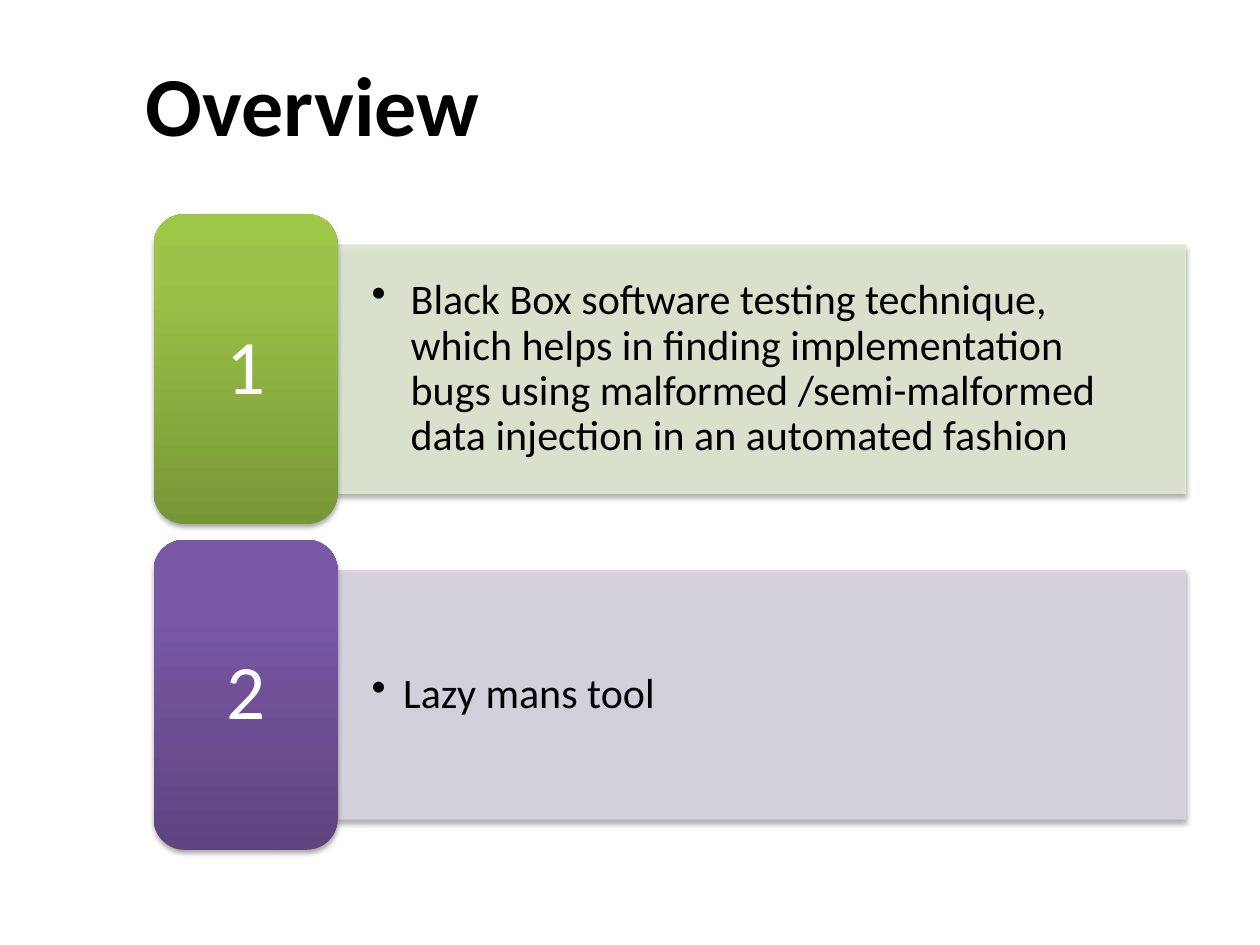
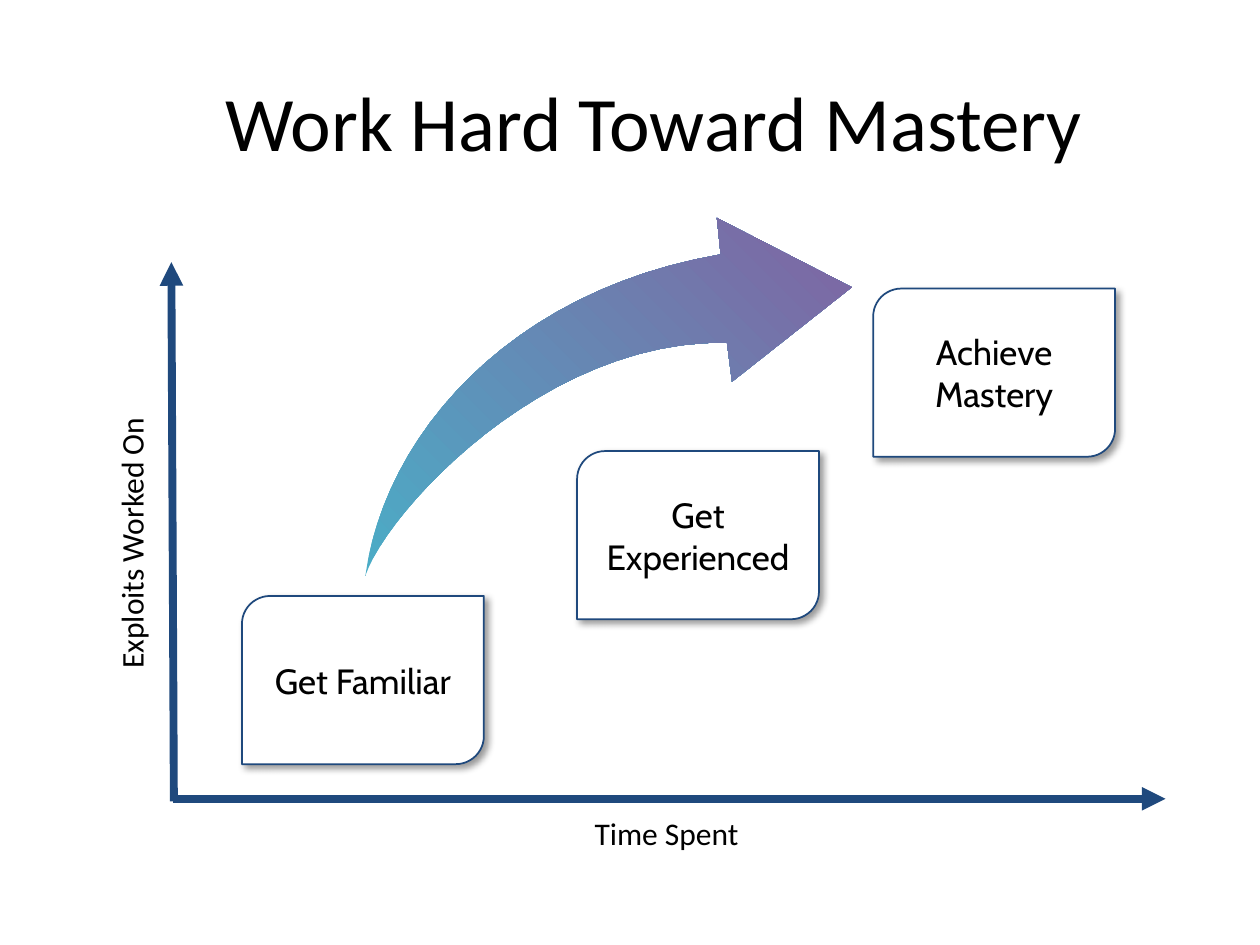
from copy import deepcopy
from lxml import etree
from pptx import Presentation
from pptx.dml.color import RGBColor
from pptx.enum.shapes import MSO_CONNECTOR, MSO_SHAPE
from pptx.enum.text import MSO_ANCHOR, PP_ALIGN
from pptx.oxml.ns import qn
from pptx.util import Inches, Pt

# Enum members
RECT = MSO_SHAPE.RECTANGLE
ROUND = MSO_SHAPE.ROUNDED_RECTANGLE
LEAF = MSO_SHAPE.ROUND_2_DIAG_RECTANGLE
STRAIGHT = MSO_CONNECTOR.STRAIGHT
TOP, MID = MSO_ANCHOR.TOP, MSO_ANCHOR.MIDDLE
LEFT, MID_X = PP_ALIGN.LEFT, PP_ALIGN.CENTER

# Colours
BLACK = RGBColor(0x00, 0x00, 0x00)
WHITE = RGBColor(0xFF, 0xFF, 0xFF)
NAVY = RGBColor(0x1F, 0x49, 0x7D)
TEAL = RGBColor(0x4B, 0xAC, 0xC6)
MAUVE = RGBColor(0x80, 0x64, 0xA2)
PALE_GREEN = RGBColor(0xDE, 0xE7, 0xD1)
PALE_MAUVE = RGBColor(0xD8, 0xD3, 0xE0)
GREENS = [(0, RGBColor(0x77, 0x97, 0x37)), (0.8, RGBColor(0x9B, 0xC3, 0x48)),
          (1, RGBColor(0x9D, 0xC7, 0x46))]
PURPLES = [(0, RGBColor(0x5F, 0x44, 0x80)), (0.8, RGBColor(0x7B, 0x58, 0xA6)),
           (1, RGBColor(0x7C, 0x57, 0xA8))]

# Shadows: opacity in percent, blur, distance, angle
SOFT = (35, 3.1, 1.8, 90)
DEEP = (40, 4, 3, 45)

# Fonts
BODY, CARD = "Calibri", "Cabin"

# Grid: 100 columns by 75 rows of square cells
COLS = 100
PAD = (1, 0.5)


def curve(a, b, c, d, steps=24):
    """Points on a cubic curve from a to d, without a itself."""
    pts = []
    for i in range(1, steps + 1):
        t = i / steps
        u = 1 - t
        pts.append(tuple(u**3 * p + 3 * u * u * t * q + 3 * u * t * t * r + t**3 * s
                         for p, q, r, s in zip(a, b, c, d)))
    return pts


class Deck:
    def __init__(self):
        self.prs = Presentation()
        self.prs.slide_width, self.prs.slide_height = Inches(10), Inches(7.5)
        self.cell = self.prs.slide_width / COLS
        self.shapes = None

    def page(self):
        self.shapes = self.prs.slides.add_slide(self.prs.slide_layouts[6]).shapes

    def size(self, *cells):
        return [round(n * self.cell) for n in cells]

    def put_text(self, shape, text, size, font=BODY, color=BLACK, bold=False,
                 align=MID_X, anchor=MID, pad=PAD, space=None):
        frame = shape.text_frame
        frame.text = text
        frame.word_wrap = True
        frame.vertical_anchor = anchor
        frame.margin_left = frame.margin_right = self.size(pad[0])[0]
        frame.margin_top = frame.margin_bottom = self.size(pad[1])[0]
        para = frame.paragraphs[0]
        para.alignment, para.line_spacing = align, space
        face = para.runs[0].font
        face.name, face.size, face.bold = font, Pt(size), bold
        face.color.rgb = color
        return para

    def label(self, box, text, size, turn=0, **style):
        shape = self.shapes.add_textbox(*self.size(*box))
        shape.rotation = turn
        self.put_text(shape, text, size, **style)

    def title(self, box, text, size, bold=False):
        self.label(box, text, size, bold=bold, align=LEFT)

    def block(self, kind, box, shade, fill=None, line=None, width=1):
        shape = self.shapes.add_shape(kind, *self.size(*box))
        if fill is not None:
            shape.fill.solid()
            shape.fill.fore_color.rgb = fill
        if line is None:
            shape.line.fill.background()
        else:
            shape.line.color.rgb = line
            shape.line.width = Pt(width)
        self.shade(shape, *shade)
        return shape

    def shade(self, shape, alpha, blur, dist, angle):
        shape.shadow.inherit = False
        hold = shape.element.spPr.find(qn("a:effectLst"))
        drop = etree.SubElement(hold, qn("a:outerShdw"), blurRad=str(Pt(blur)),
                                dist=str(Pt(dist)), dir=str(angle * 60000), rotWithShape="0")
        tone = etree.SubElement(drop, qn("a:srgbClr"), val=str(BLACK))
        self.fade(tone, alpha)

    def fade(self, tone, alpha):
        etree.SubElement(tone, qn("a:alpha"), val=str(alpha * 1000))

    def blend(self, shape, stops, angle):
        shape.fill.gradient()
        shape.fill.gradient_angle = angle
        hold = shape.element.spPr.find(qn("a:gradFill")).find(qn("a:gsLst"))
        while len(hold) < len(stops):
            hold.append(deepcopy(hold[-1]))
        for stop, (pos, color) in zip(shape.fill.gradient_stops, stops):
            stop.position = pos
            stop.color.rgb = color

    def panel(self, box, text, tint, hang):
        shape = self.block(RECT, box, SOFT, tint, tint, 0.75)
        for tone in list(shape.element.spPr.iter(qn("a:srgbClr"))):
            if tone.get("val") == str(tint):
                self.fade(tone, 90)
        para = self.put_text(shape, text, 24, align=LEFT, pad=(2.7, 1.4), space=0.9)
        props = para._p.get_or_add_pPr()
        gap = self.size(hang)[0]
        props.set("marL", str(gap))
        props.set("indent", str(-gap))
        etree.SubElement(props, qn("a:buChar"), char="•")

    def badge(self, box, text, stops):
        shape = self.block(ROUND, box, SOFT)
        self.blend(shape, stops, 90)
        self.put_text(shape, text, 44, color=WHITE, space=0.9)

    def card(self, box, text):
        shape = self.block(LEAF, box, DEEP, WHITE, NAVY)
        self.put_text(shape, text, 20, font=CARD, pad=(0.5, 0.5))

    def axis(self, *ends):
        line = self.shapes.add_connector(STRAIGHT, *self.size(*ends))
        line.line.color.rgb = NAVY
        line.line.width = Pt(4.5)
        props = line.element.spPr
        etree.SubElement(props.find(qn("a:ln")), qn("a:tailEnd"), type="triangle")
        etree.SubElement(props, qn("a:effectLst"))

    def sweep(self, pts, stops, angle):
        start, *rest = [self.size(*p) for p in pts]
        pen = self.shapes.build_freeform(*start)
        pen.add_line_segments(rest, close=True)
        shape = pen.convert_to_shape()
        shape.shadow.inherit = False
        shape.line.fill.background()
        self.blend(shape, stops, angle)


def overview(deck):
    deck.page()
    rows = [
        ("Black Box software testing technique, which helps in finding "
         "implementation bugs using malformed /semi-malformed data injection "
         "in an automated fashion", PALE_GREEN, GREENS, 3.1),
        ("Lazy mans tool", PALE_MAUVE, PURPLES, 2.5),
    ]
    for i, (text, tint, stops, hang) in enumerate(rows):
        top = 17 + 25.85 * i
        deck.panel((26.8, top + 2.45, 67.3, 19.7), text, tint, hang)
        deck.badge((12.2, top, 14.6, 24.6), str(i + 1), stops)
    deck.title((10.6, 4.9, 88.3, 6.6), "Overview", 48, bold=True)


def mastery(deck):
    deck.page()
    deck.title((16.9, 3.3, 73.9, 12.5), "Work Hard Toward Mastery", 44)

    # Axes and their names
    deck.axis(13.7, 63.4, 92.5, 63.4)
    deck.axis(13.8, 63.6, 13.6, 20.8)
    deck.label((15.8, 64.1, 74.2, 4), "Time Spent", 18, anchor=TOP)
    deck.label((-9.9, 41.1, 40.6, 4), "Exploits Worked On", 18, turn=270, anchor=TOP)

    # Steps
    for left, top, text in [(19.2, 47.3, "Get Familiar"),
                            (45.8, 35.8, "Get Experienced"),
                            (69.3, 22.9, "Achieve Mastery")]:
        deck.card((left, top, 19.2, 13.35), text)

    # Rising arrow
    tail, upper, lower = (29, 45.7), (57.2, 20.2), (57.7, 27.2)
    head = [(56.9, 17.3), (67.6, 22.8), (58.1, 30.3), lower]
    rise = curve(tail, (30.5, 34.7), (40.3, 23.1), upper)
    back = curve(lower, (43.2, 26.9), (30.7, 40.6), tail)
    deck.sweep([tail] + rise + head + back[:-1], [(0, TEAL), (1, MAUVE)], 45)


def main():
    deck = Deck()
    overview(deck)
    mastery(deck)
    deck.prs.save("out.pptx")


if __name__ == "__main__":
    main()
